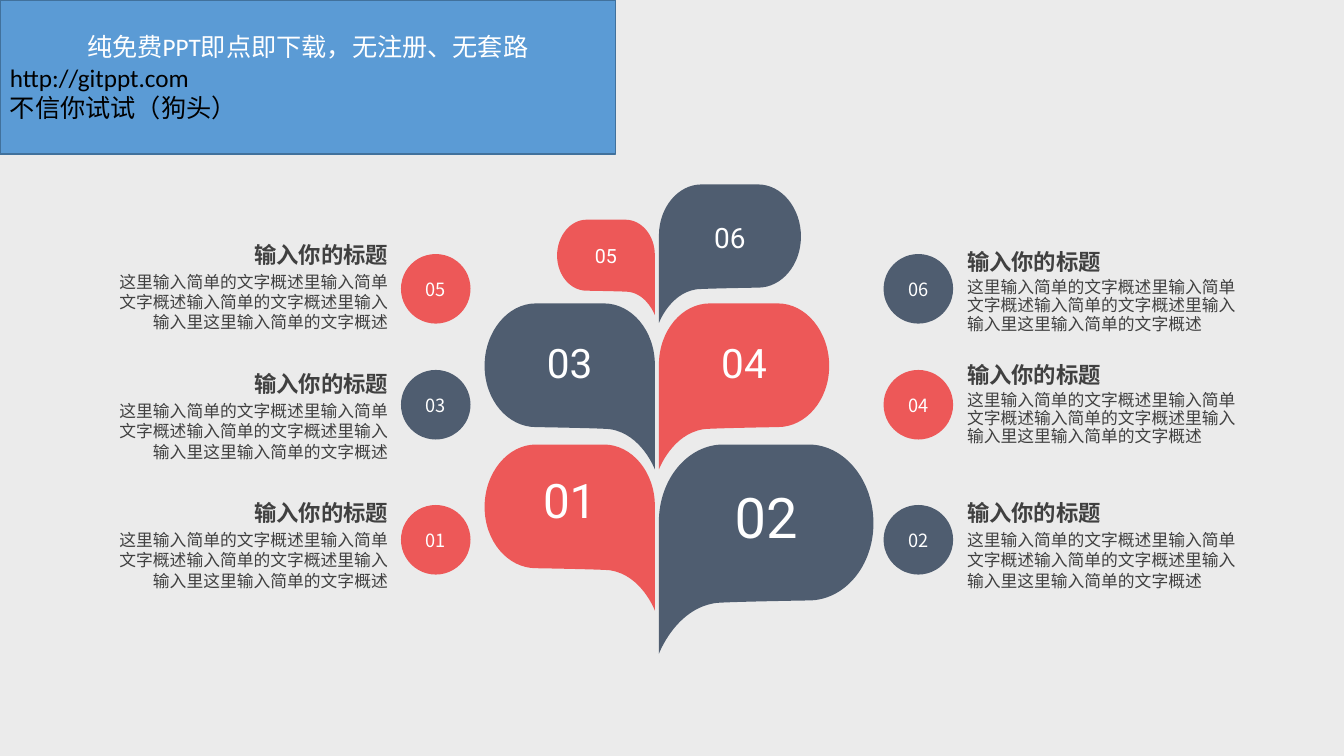
import pptx
import pptx.dml.color
import pptx.enum.shapes
import pptx.enum.text
import pptx.oxml.ns
import pptx.util
from lxml import etree

Inches, Pt = pptx.util.Inches, pptx.util.Pt
ALIGN = pptx.enum.text.PP_ALIGN
MIDDLE = pptx.enum.text.MSO_ANCHOR.MIDDLE
SHAPES = pptx.enum.shapes.MSO_SHAPE
qualified = pptx.oxml.ns.qn

HEADING = "输入你的标题"
SUMMARY = "这里输入简单的文字概述里输入简单文字概述输入简单的文字概述里输入输入里这里输入简单的文字概述"
BANNER = [
    ("纯免费PPT即点即下载，无注册、无套路", ALIGN.CENTER, "white"),
    ("http://gitppt.com", ALIGN.LEFT, "black"),
    ("不信你试试（狗头）", ALIGN.LEFT, "black"),
]

# label, side, row, fill, leaf (top, width, number size), caption (top, line spacing)
ITEMS = [
    ("05", "left", 0, "red", (2.18, 0.97, 14), (2.34, 1)),
    ("03", "left", 1, "slate", (3.01, 1.69, 29), (3.62, 1)),
    ("01", "left", 2, "red", (4.41, 1.69, 34), (4.9, 1)),
    ("02", "right", 2, "slate", (4.41, 2.13, 40), (4.9, 1)),
    ("06", "right", 0, "slate", (1.83, 1.41, 20), (2.44, 0.9)),
    ("04", "right", 1, "red", (3.01, 1.69, 29), (3.56, 0.9)),
]

THEME = {
    "colours": {
        "background": "EBEBEB", "red": "ED5858", "slate": "4F5D70", "text": "404040",
        "banner": "5B9BD5", "banner_edge": "41719C", "white": "FFFFFF", "black": "000000",
    },
    "fonts": {"number": "Roboto", "text": "Noto Sans CJK SC", "banner": "Calibri"},
    "sizes": {"heading": 16, "summary": 12, "badge": 13, "banner": 18},
}
SIZES = THEME["sizes"]

SLIDE_WIDTH, SLIDE_HEIGHT = 13.34, 7.5
BANNER_SIZE = (6.11, 1.53)
BADGE_TOPS = (2.52, 3.67, 5.01)
BADGE_SIZE = 0.69
CAPTION_SIZE = (2.95, 1.04)
SIDES = {
    "left": {"stem": 6.5, "badge": 3.98, "caption": 1, "align": ALIGN.RIGHT},
    "right": {"stem": 6.54, "badge": 8.77, "caption": 9.5, "align": ALIGN.LEFT},
}

# Left-hand leaf in shares of its width and height: start, then cubic curves
LEAF_RATIO = 0.975
LEAF_START = (0.302, 0)
LEAF_CURVES = [
    ((0.7, 0), (0.7, 0), (0.7, 0)),
    ((0.864, 0), (1, 0.164), (1, 0.37)),
    ((1, 0.576), (1, 1), (1, 1)),
    ((1, 1), (0.923, 0.788), (0.74, 0.758)),
    ((0.722, 0.752), (0.302, 0.745), (0.302, 0.745)),
    ((0.136, 0.745), (0, 0.582), (0, 0.376)),
    ((0, 0.17), (0.136, 0), (0.302, 0)),
]
NUMBER_LINE = 1.17


def colour(name):
    return pptx.dml.color.RGBColor.from_string(THEME["colours"][name])


def paint(shape, fill, edge=None):
    shape.shadow.inherit = False
    shape.fill.solid()
    shape.fill.fore_color.rgb = colour(fill)
    if edge:
        shape.line.color.rgb = colour(edge)
        shape.line.width = Pt(1)
    else:
        shape.line.fill.background()


def write(paragraph, text, size, font, ink, bold=False, **layout):
    for name, value in layout.items():
        setattr(paragraph, name, value)
    run = paragraph.add_run()
    run.text = text
    run.font.color.rgb = colour(ink)
    formats = {"size": Pt(size), "name": THEME["fonts"][font], "bold": bold}
    for name, value in formats.items():
        setattr(run.font, name, value)
    east_asian = etree.SubElement(run._r.get_or_add_rPr(), qualified("a:ea"))
    east_asian.set("typeface", THEME["fonts"]["text"])


def bend(shape):
    """Turn each three straight segments of a freeform into one cubic curve."""
    segments = list(shape._element.iter(qualified("a:lnTo")))
    for first in range(0, len(segments), 3):
        curve = etree.Element(qualified("a:cubicBezTo"))
        segments[first].addprevious(curve)
        for segment in segments[first:first + 3]:
            curve.append(segment[0])
            segment.getparent().remove(segment)


def add_leaf(slide, label, side, fill, top, width, size):
    direction = -1 if side == "left" else 1
    points = [
        (Inches(SIDES[side]["stem"] + direction * (1 - x) * width),
         Inches(top + y * width * LEAF_RATIO))
        for x, y in [LEAF_START] + sum(map(list, LEAF_CURVES), [])]
    builder = slide.shapes.build_freeform(*points[0])
    # The last curve already ends at the start, so no closing segment is drawn
    builder.add_line_segments(points[1:], close=False)
    leaf = builder.convert_to_shape()
    bend(leaf)
    paint(leaf, fill)
    frame = leaf.text_frame
    frame.vertical_anchor = MIDDLE
    frame.margin_bottom = Inches(0.05) + Pt(size * NUMBER_LINE)
    write(frame.paragraphs[0], label, size, "number", "white", alignment=ALIGN.CENTER)


def add_caption(slide, label, side, row, fill, top, spacing):
    """Add a heading with its summary, grouped with a numbered badge."""
    place = SIDES[side]
    group = slide.shapes.add_group_shape()
    box = group.shapes.add_textbox(
        *map(Inches, (place["caption"], top, *CAPTION_SIZE)))
    frame = box.text_frame
    frame.word_wrap = True
    layout = {"alignment": place["align"], "line_spacing": spacing}
    write(frame.paragraphs[0], HEADING, SIZES["heading"], "text", "text", True, **layout)
    write(frame.add_paragraph(), SUMMARY, SIZES["summary"], "text", "text",
          space_before=Pt(3), **layout)

    badge = group.shapes.add_shape(SHAPES.OVAL, *map(
        Inches, (place["badge"], BADGE_TOPS[row], BADGE_SIZE, BADGE_SIZE)))
    paint(badge, fill)
    badge.text_frame.vertical_anchor = MIDDLE
    write(badge.text_frame.paragraphs[0], label, SIZES["badge"], "text", "white",
          alignment=ALIGN.CENTER)


def add_banner(slide):
    banner = slide.shapes.add_shape(SHAPES.RECTANGLE, 0, 0, *map(Inches, BANNER_SIZE))
    paint(banner, "banner", "banner_edge")
    frame = banner.text_frame
    frame.vertical_anchor = MIDDLE
    for index, (text, align, ink) in enumerate(BANNER):
        paragraph = frame.add_paragraph() if index else frame.paragraphs[0]
        write(paragraph, text, SIZES["banner"], "banner", ink, alignment=align)


def main():
    presentation = pptx.Presentation()
    presentation.slide_width = Inches(SLIDE_WIDTH)
    presentation.slide_height = Inches(SLIDE_HEIGHT)
    slide = presentation.slides.add_slide(presentation.slide_layouts[6])
    slide.background.fill.solid()
    slide.background.fill.fore_color.rgb = colour("background")
    for label, side, row, fill, leaf, caption in ITEMS:
        add_leaf(slide, label, side, fill, *leaf)
    for label, side, row, fill, leaf, caption in sorted(ITEMS):
        add_caption(slide, label, side, row, fill, *caption)
    add_banner(slide)
    presentation.save("out.pptx")


if __name__ == "__main__":
    main()
